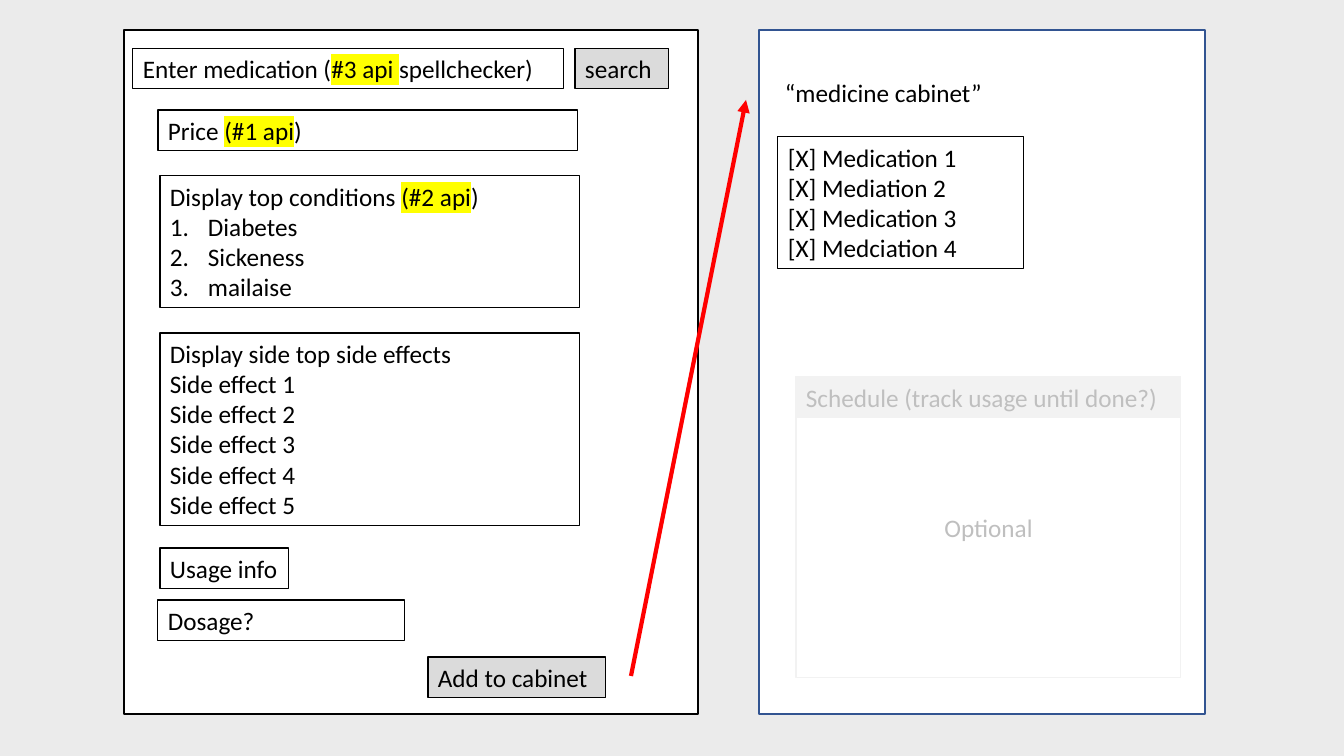
from lxml import etree
from pptx import Presentation
from pptx.dml.color import RGBColor
from pptx.enum.shapes import MSO_CONNECTOR, MSO_SHAPE
from pptx.enum.text import MSO_ANCHOR, PP_ALIGN
from pptx.oxml.ns import qn
from pptx.util import Emu, Pt

RECT, STRAIGHT = MSO_SHAPE.RECTANGLE, MSO_CONNECTOR.STRAIGHT
TOP, MIDDLE = MSO_ANCHOR.TOP, MSO_ANCHOR.MIDDLE
LEFT, CENTER = PP_ALIGN.LEFT, PP_ALIGN.CENTER
BLACK, WHITE, RED, YELLOW = "000000", "FFFFFF", "FF0000", "FFFF00"
BUTTON, PALE, FADED = "DBDBDB", "F2F2F2", "BFBFBF"
BACKGROUND, BLUE = "EBEBEB", "325491"
FONT = {"size": Pt(18), "name": "Calibri"}
EMU_PER_PIXEL = 914400 / 100.8
LINE_HEIGHT, PADDING = 30.54, 10.1
LIST_INDENT = 38

# Content: a line is a string, or a list of plain and ("marked",) pieces
PANELS = [
    ((759, 30, 446, 684), BLUE),
    ((124, 30, 574, 684), BLACK),
]
# left, top, width, lines, format
BOXES = [
    (133, 48, 431, [["Enter medication (", ("#3 api ",), "spellchecker)"]], {}),
    (575, 48, 94, ["search"], {"fill": BUTTON}),
    (158, 110, 420, [["Price ", ("(#1 api",), ")"]], {}),
    (160, 176, 420, [["Display top conditions ", ("(#2 api",), ")"],
                     "Diabetes", "Sickeness", "mailaise"], {"numbered": True}),
    (160, 333, 420, ["Display side top side effects"]
     + [f"Side effect {number}" for number in range(1, 6)], {}),
    (160, 548, 129, ["Usage info"], {"wrap": False}),
    (158, 600, 247, ["Dosage?"], {}),
    (428, 657, 178, ["Add to cabinet"], {"fill": BUTTON}),
    (775, 72, 219, ["“medicine cabinet”"], {"wrap": False, "line": None}),
    (778, 137, 246, ["[X] Medication 1", "[X] Mediation 2",
                     "[X] Medication 3", "[X] Medciation 4"], {}),
    (796, 377, 385, ["Optional"],
     {"height": 301, "fill": WHITE, "line": PALE, "color": FADED,
      "align": CENTER, "anchor": MIDDLE}),
    (796, 377, 385, ["Schedule (track usage until done?)"],
     {"fill": PALE, "line": PALE, "color": FADED}),
]
ARROW = (631, 676, 746, 100)


def px(*lengths):
    return [Emu(round(length * EMU_PER_PIXEL)) for length in lengths]


def paint(target, color):
    target.solid()
    target.fore_color.rgb = RGBColor.from_string(color)


def add_box(place, fill, line, weight):
    box = page.shapes.add_shape(RECT, *px(*place))
    box.shadow.inherit = False
    for target, color in ((box.fill, fill), (box.line.fill, line)):
        if color:
            paint(target, color)
        else:
            target.background()
    box.line.width = Pt(weight)
    return box


def add_span(para, piece, color):
    marked = isinstance(piece, tuple)
    span = para.add_run()
    span.text = piece[0] if marked else piece
    paint(span.font.fill, color)
    if marked:
        highlight = etree.SubElement(span.font._element, qn("a:highlight"))
        etree.SubElement(highlight, qn("a:srgbClr"), val=YELLOW)
    for name, value in FONT.items():
        setattr(span.font, name, value)


def number_para(para):
    props = para._p.get_or_add_pPr()
    indent = px(LIST_INDENT)[0]
    props.set("marL", str(indent))
    props.set("indent", str(-indent))
    etree.SubElement(props, qn("a:buFont"), typeface="+mj-lt")
    etree.SubElement(props, qn("a:buAutoNum"), type="arabicPeriod")


def write(box, lines, style):
    frame = box.text_frame
    frame.word_wrap = style.get("wrap", True)
    frame.vertical_anchor = style.get("anchor", TOP)
    for index, line in enumerate(lines):
        para = frame.add_paragraph() if index else frame.paragraphs[0]
        para.alignment = style.get("align", LEFT)
        if index and style.get("numbered"):
            number_para(para)
        for piece in [line] if isinstance(line, str) else line:
            add_span(para, piece, style.get("color", BLACK))


deck = Presentation()
deck.slide_width, deck.slide_height = px(1344, 756)
page = deck.slides.add_slide(deck.slide_layouts[6])
paint(page.background.fill, BACKGROUND)

# The two screens
for place, line in PANELS:
    add_box(place, WHITE, line, 1.5)

# Fields, buttons and lists; height follows the number of lines
for left, top, width, lines, style in BOXES:
    height = style.get("height", round(PADDING + LINE_HEIGHT * len(lines)))
    box = add_box((left, top, width, height), style.get("fill"),
                  style.get("line", BLACK), 0.75)
    write(box, lines, style)

# Arrow from the button to the cabinet
arrow = page.shapes.add_connector(STRAIGHT, *px(*ARROW))
paint(arrow.line.fill, RED)
arrow.line.width = Pt(3)
etree.SubElement(arrow.line._get_or_add_ln(), qn("a:tailEnd"), type="triangle")
etree.SubElement(arrow._element.spPr, qn("a:effectLst"))

deck.save("out.pptx")
